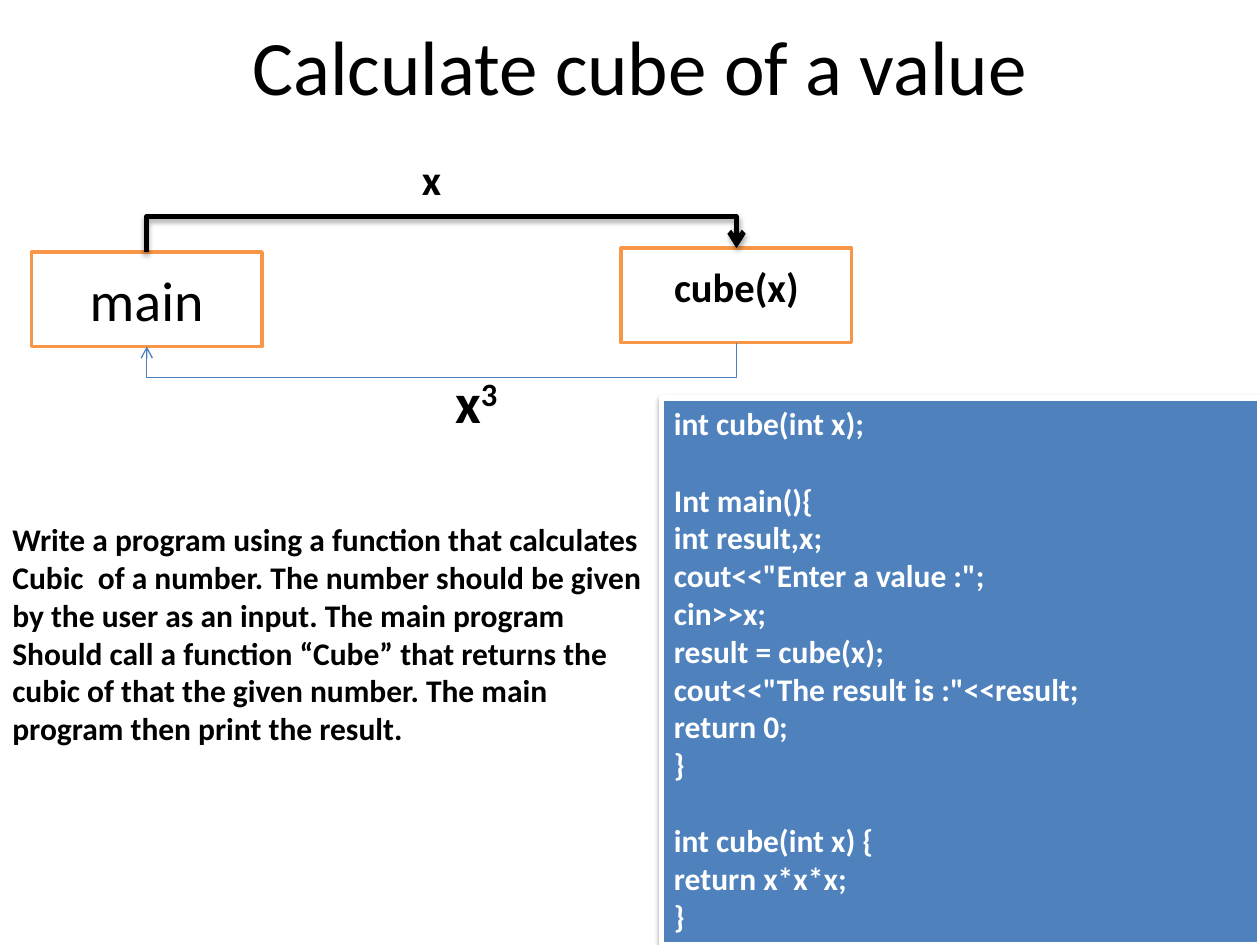
from lxml import etree
from pptx import Presentation
from pptx.dml.color import RGBColor
from pptx.enum.shapes import MSO_CONNECTOR as CONN, MSO_SHAPE as SHAPE
from pptx.enum.text import MSO_ANCHOR as ANCHOR, PP_ALIGN as ALIGN
from pptx.oxml.ns import qn
from pptx.util import Inches, Pt

BLACK, WHITE, ORANGE, BLUE, LINE_BLUE = "000000", "FFFFFF", "F79646", "4F81BD", "4B7EBC"
BOX_W, BOX_H = 1.83, 0.75
MAIN_X, MAIN_Y = 0.25, 2
CUBE_X, CUBE_Y = 4.93, 1.97
BEND = 0.28  # reach of the arrows beyond the boxes
CODE_GAP = 22  # one empty line of code, in points

TASK = [
    "Write a program using a function that calculates",
    "Cubic  of a number. The number should be given",
    "by the user as an input. The main program",
    "Should call a function “Cube” that returns the",
    "cubic of that the given number. The main",
    "program then print the result.",
]
CODE_BLOCKS = [
    ["int cube(int x);"],
    ["Int main(){", "int result,x;", 'cout<<"Enter a value :";', "cin>>x;",
     "result = cube(x);", 'cout<<"The result is :"<<result;', "return 0;", "}"],
    ["int cube(int x) {", "return x*x*x;", "}"],
]


def color(value):
    return RGBColor.from_string(value)


def write(sp, lines, size, bold=False, fill=BLACK, align=ALIGN.LEFT,
          anchor=ANCHOR.TOP, wrap=True):
    tf = sp.text_frame
    tf.word_wrap, tf.vertical_anchor = wrap, anchor
    for i, line in enumerate(lines):
        p = tf.paragraphs[0] if i == 0 else tf.add_paragraph()
        p.add_run().text = line
        p.alignment = align
        p.font.name, p.font.size, p.font.bold = "Calibri", Pt(size), bold
        p.font.color.rgb = color(fill)
    return tf


def superscript(r):
    r._r.get_or_add_rPr().set("baseline", "30000")


def text(s, at, lines, size, **style):
    return write(s.shapes.add_textbox(*map(Inches, at)), lines, size, **style)


def box(s, at, fill, line, width):
    sp = s.shapes.add_shape(SHAPE.RECTANGLE, *map(Inches, at))
    sp.shadow.inherit = False
    sp.fill.solid()
    sp.fill.fore_color.rgb = color(fill)
    sp.line.color.rgb = color(line)
    sp.line.width = Pt(width)
    return sp


def add_shadow(effects, alpha, dist):
    shadow = etree.SubElement(effects, qn("a:outerShdw"), blurRad=str(Pt(3.1)),
                              dist=str(Pt(dist)), dir="5400000", rotWithShape="0")
    shade = etree.SubElement(shadow, qn("a:srgbClr"), val=BLACK)
    etree.SubElement(shade, qn("a:alpha"), val=str(alpha * 1000))


def bent_arrow(s, start, end, line, width):
    """Arrow that leaves and enters vertically: an elbow turned by 90 degrees."""
    (x1, y1), (x2, y2) = start, end
    rise, span = abs(y2 - y1), abs(x2 - x1)
    cx, cy = (x1 + x2) / 2, (y1 + y2) / 2
    side = 1 if y2 > y1 else -1
    dx, dy = side * rise / 2, side * span / 2
    c = s.shapes.add_connector(CONN.ELBOW, *map(Inches, (cx - dx, cy - dy, cx + dx, cy + dy)))
    c.line.color.rgb = color(line)
    c.line.width = Pt(width)
    props = c._element.spPr
    props.find(qn("a:xfrm")).set("rot", "5400000")
    guides = props.find(qn("a:prstGeom")).find(qn("a:avLst"))
    etree.SubElement(guides, qn("a:gd"), name="adj1", fmla=f"val {round(BEND / rise * 100000)}")
    etree.SubElement(props.find(qn("a:ln")), qn("a:tailEnd"), type="arrow")
    return etree.SubElement(props, qn("a:effectLst"))


def main():
    prs = Presentation()
    prs.slide_width, prs.slide_height = Inches(10), Inches(7.5)
    s = prs.slides.add_slide(prs.slide_layouts[6])

    # Function boxes
    centred = {"align": ALIGN.CENTER, "anchor": ANCHOR.MIDDLE}
    caller = box(s, (MAIN_X, MAIN_Y, BOX_W, BOX_H), WHITE, ORANGE, 2)
    write(caller, ["main"], 32, **centred)
    callee = box(s, (CUBE_X, CUBE_Y, BOX_W, BOX_H), WHITE, ORANGE, 2)
    tf = write(callee, ["cube(x)"], 40, bold=True, **centred)
    superscript(tf.paragraphs[0].runs[0])

    # Call and return arrows
    main_mid, cube_mid = MAIN_X + BOX_W / 2, CUBE_X + BOX_W / 2
    effects = bent_arrow(s, (main_mid, MAIN_Y), (cube_mid, CUBE_Y), BLACK, 3)
    add_shadow(effects, 35, 1.8)
    bent_arrow(s, (cube_mid, CUBE_Y + BOX_H), (main_mid, MAIN_Y + BOX_H), LINE_BLUE, 0.75)

    # Arrow labels
    text(s, (3.25, 1.17, 0.36, 0.5), ["x"], 24, bold=True, wrap=False)
    tf = text(s, (3.5, 2.87, 0.56, 0.64), ["x"], 32, bold=True, align=ALIGN.CENTER, wrap=False)
    r = tf.paragraphs[0].add_run()
    r.text = "3"
    superscript(r)

    # Code panel, with a gap before each later block
    panel = box(s, (5.25, 3.16, 4.75, 4.34), BLUE, WHITE, 3)
    add_shadow(panel._element.spPr.find(qn("a:effectLst")), 38, 1.6)
    tf = write(panel, sum(CODE_BLOCKS, []), 18, bold=True, fill=WHITE)
    first = 0
    for block in CODE_BLOCKS[:-1]:
        first += len(block)
        tf.paragraphs[first].space_before = Pt(CODE_GAP)

    # Title and task
    text(s, (0.58, 0, 9, 1.03), ["Calculate cube of a value"], 44, **centred)
    text(s, (0, 4.08, 5.24, 1.92), TASK, 18, bold=True, wrap=False)

    prs.save("out.pptx")


if __name__ == "__main__":
    main()
